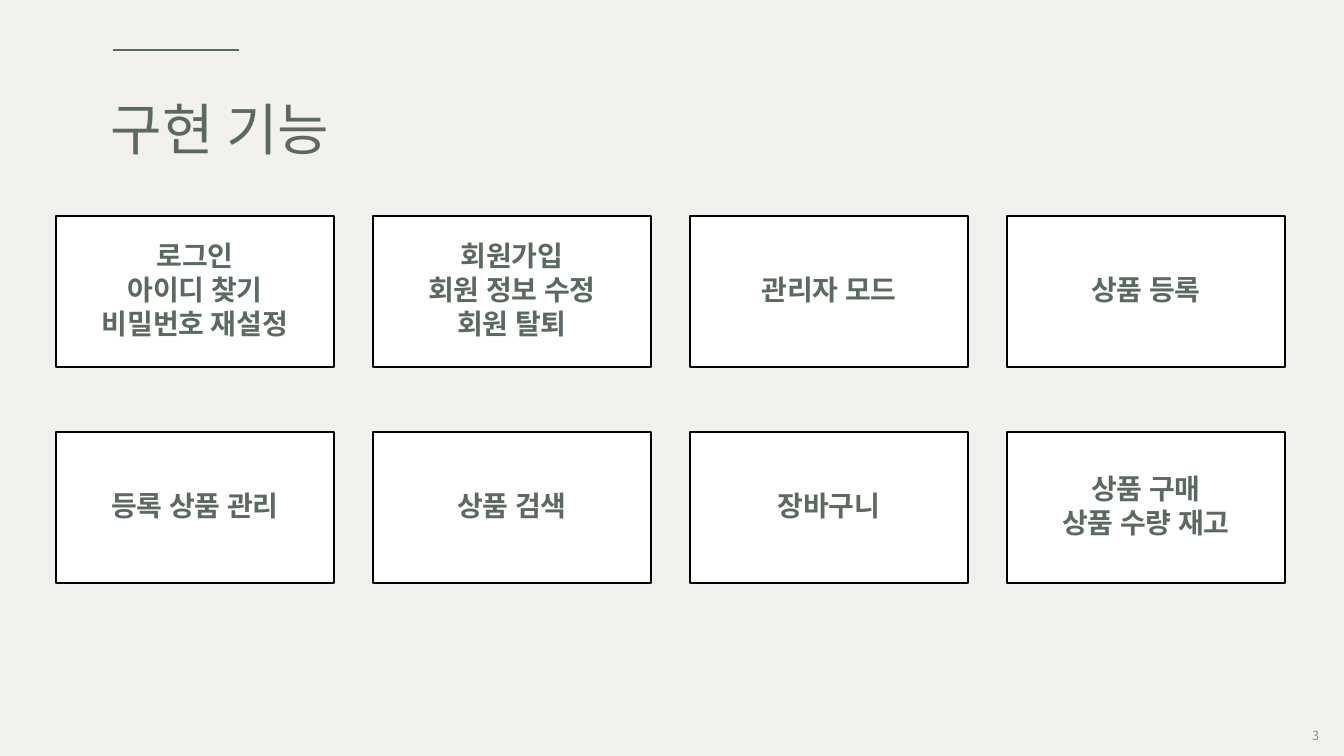
from pptx import Presentation
from pptx.dml.color import RGBColor
from pptx.enum.shapes import MSO_CONNECTOR, MSO_SHAPE
from pptx.enum.text import MSO_ANCHOR, PP_ALIGN
from pptx.oxml.ns import qn
from pptx.util import Emu, Pt
from lxml import etree

RECT = MSO_SHAPE.RECTANGLE
LINE = MSO_CONNECTOR.STRAIGHT
TOP, MIDDLE = MSO_ANCHOR.TOP, MSO_ANCHOR.MIDDLE
LEFT, CENTER, RIGHT = PP_ALIGN.LEFT, PP_ALIGN.CENTER, PP_ALIGN.RIGHT
WIDTH, HEIGHT = 1344, 756
SCALE = 12192000 / WIDTH


def px(n):
    return Emu(round(n * SCALE))


def color(code):
    return RGBColor.from_string(code)


class Deck:
    font = "Noto Sans CJK KR"
    green, gray = "5B6A5E", "8C8C8C"
    paper, white, black = "F2F1EE", "FFFFFF", "000000"

    def __init__(self):
        self.prs = Presentation()
        self.prs.slide_width, self.prs.slide_height = px(WIDTH), px(HEIGHT)
        self.slide = self.prs.slides.add_slide(self.prs.slide_layouts[6])
        fill = self.slide.background.fill
        fill.solid()
        fill.fore_color.rgb = color(self.paper)

    def put_text(self, shape, text, size, tint, align, anchor, pads,
                 bold=False, lead=1.0, after=0):
        frame = shape.text_frame
        frame.word_wrap = True
        frame.vertical_anchor = anchor
        frame.margin_left = frame.margin_right = px(pads[0])
        frame.margin_top = frame.margin_bottom = px(pads[1])
        frame.text = text
        for para in frame.paragraphs:
            para.alignment = align
            para.line_spacing = lead
            para.space_after = Pt(after)
            for run in para.runs:
                font = run.font
                font.size, font.bold = Pt(size), bold
                font.name = self.font
                font.color.rgb = color(tint)
                face = etree.SubElement(run._r.get_or_add_rPr(), qn("a:ea"))
                face.set("typeface", self.font)

    def label(self, x, y, w, h, text, size, tint, align=LEFT, anchor=TOP,
              pads=(10, 5), lead=1.0):
        box = self.slide.shapes.add_textbox(px(x), px(y), px(w), px(h))
        self.put_text(box, text, size, tint, align, anchor, pads, lead=lead)

    def card(self, x, y, w, h, text):
        box = self.slide.shapes.add_shape(RECT, px(x), px(y), px(w), px(h))
        box.shadow.inherit = False
        box.fill.solid()
        box.fill.fore_color.rgb = color(self.white)
        box.line.color.rgb = color(self.black)
        box.line.width = Pt(1.5)
        self.put_text(box, text, 20, self.green, CENTER, MIDDLE, (6, 6),
                      bold=True, lead=0.9, after=2.5)

    def rule(self, x, y, end):
        line = self.slide.shapes.add_connector(
            LINE, px(x), px(y), px(end), px(y))
        line.line.color.rgb = color(self.green)
        line.line.width = Pt(1.25)
        etree.SubElement(line._element.spPr, qn("a:effectLst"))


deck = Deck()

# Heading
deck.rule(113, 50, 239)
deck.label(101, 97, 572, 247, "구현 기능", 40, deck.green, lead=0.9)

# Page number
deck.label(1027, 715, 302, 40, "3", 9, deck.gray, RIGHT, MIDDLE)

# Feature cards, four to a row
COLS = 4
features = [
    "로그인\n아이디 찾기\n비밀번호 재설정",
    "회원가입\n회원 정보 수정\n회원 탈퇴",
    "관리자 모드",
    "상품 등록",
    "등록 상품 관리",
    "상품 검색",
    "장바구니",
    "상품 구매\n상품 수량 재고",
]
for i, text in enumerate(features):
    row, col = divmod(i, COLS)
    deck.card(56 + 317 * col, 216 + 216 * row, 278, 151, text)

deck.prs.save("out.pptx")
